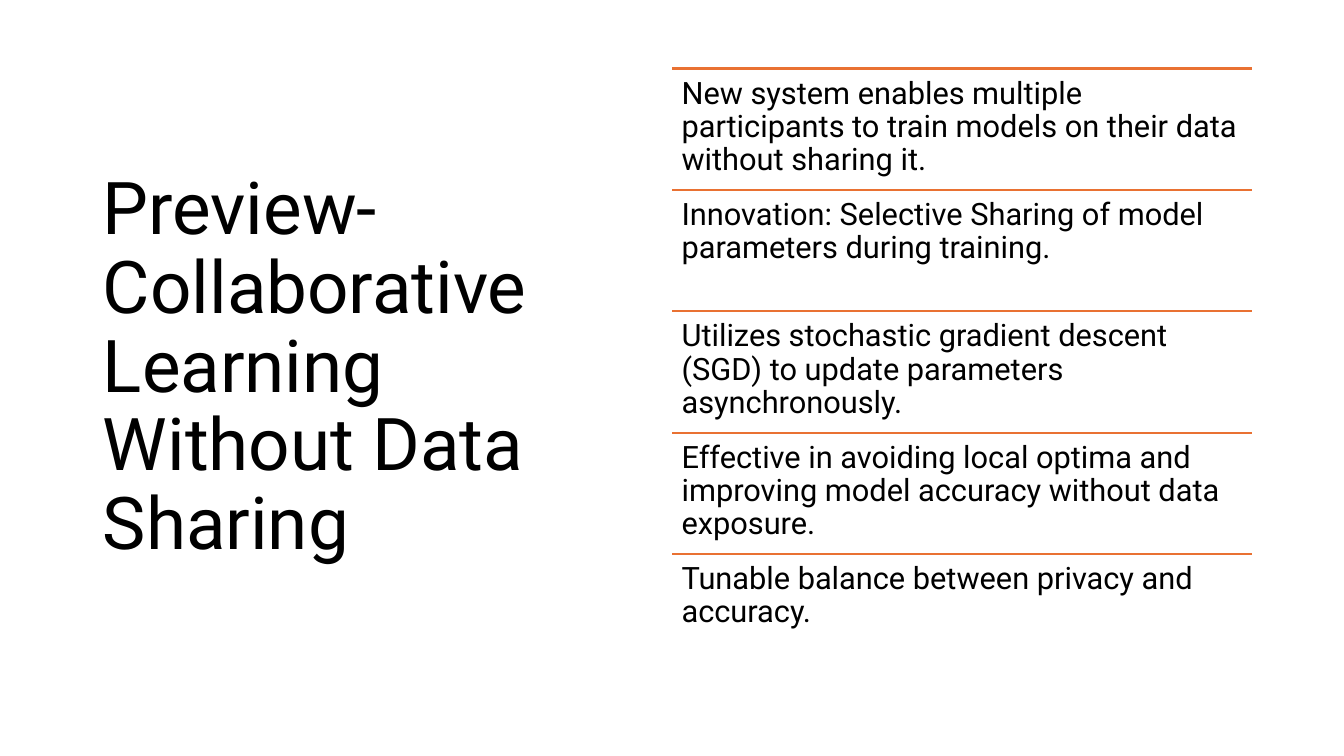
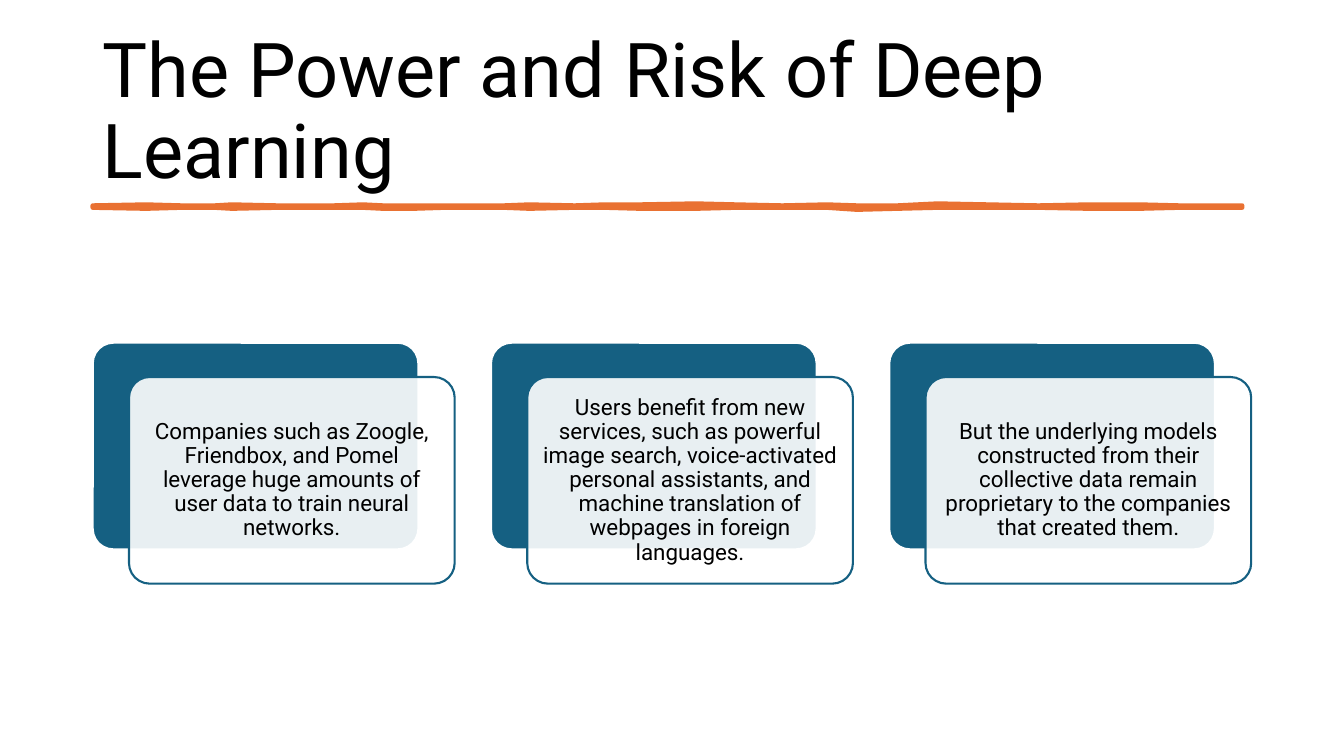
"""Build two slides on collaborative deep learning: a ruled list and three cards."""
from dataclasses import dataclass

from lxml import etree
from pptx import Presentation
from pptx.dml.color import RGBColor
from pptx.enum import shapes, text
from pptx.oxml import ns
from pptx.util import Inches, Pt


@dataclass(frozen=True)
class Theme:
    font: str = "Roboto"
    ink: RGBColor = RGBColor(0, 0, 0)
    paper: RGBColor = RGBColor(255, 255, 255)
    blue: RGBColor = RGBColor(0x15, 0x60, 0x82)
    orange: RGBColor = RGBColor(0xE9, 0x71, 0x32)
    list_size: float = 22
    card_size: float = 16
    rule: float = 1.5
    brush: float = 3.25
    lead: float = 0.9


T = Theme()

PREVIEW = {
    "title": "Preview- Collaborative Learning Without Data Sharing",
    "size": 52,
    "box": (0.92, 0.61, 5.32, 6.09),
    "items": [
        "New system enables multiple participants to train models on their data without sharing it.",
        "Innovation: Selective Sharing of model parameters during training.",
        "Utilizes stochastic gradient descent (SGD) to update parameters asynchronously.",
        "Effective in avoiding local optima and improving model accuracy without data exposure.",
        "Tunable balance between privacy and accuracy.",
    ],
}
RISK = {
    "title": "The Power and Risk of Deep Learning",
    "size": 54,
    "box": (0.92, 0.4, 11.5, 1.45),
    "items": [
        "Companies such as Zoogle, Friendbox, and Pomel leverage huge amounts of user data to train neural networks.",
        "Users benefit from new services, such as powerful image search, voice-activated personal assistants, "
        "and machine translation of webpages in foreign languages.",
        "But the underlying models constructed from their collective data remain proprietary to the companies "
        "that created them.",
    ],
}
STROKE = [
    (0.92, 2.04, 2.06), (1.45, 2.03, 2.07), (1.8, 2.04, 2.06), (2.13, 2.04, 2.06),
    (2.3, 2.03, 2.07), (2.75, 2.04, 2.06), (3.31, 2.04, 2.06), (3.6, 2.03, 2.06),
    (3.8, 2.04, 2.07), (4.1, 2.04, 2.07), (4.41, 2.04, 2.06), (5, 2.04, 2.06),
    (5.25, 2.03, 2.07), (5.7, 2.04, 2.06), (6, 2.03, 2.06), (6.35, 2.03, 2.07),
    (6.9, 2.02, 2.07), (7.3, 2.03, 2.06), (7.76, 2.04, 2.06), (8.2, 2.03, 2.06),
    (8.5, 2.04, 2.08), (8.9, 2.04, 2.07), (9.3, 2.02, 2.06), (9.8, 2.03, 2.06),
    (10.3, 2.04, 2.06), (10.8, 2.03, 2.07), (11.3, 2.03, 2.07), (11.7, 2.04, 2.06),
    (12.32, 2.04, 2.06),
]


def write(frame, words, size, pad=None, anchor=text.MSO_ANCHOR.MIDDLE, align=text.PP_ALIGN.LEFT):
    frame.text = words
    frame.word_wrap = True
    frame.auto_size = text.MSO_AUTO_SIZE.NONE
    frame.vertical_anchor = anchor
    if pad is not None:
        frame.margin_left = frame.margin_right = Inches(pad)
        frame.margin_top = frame.margin_bottom = Inches(pad)
    para = frame.paragraphs[0]
    para.alignment = align
    para.line_spacing = T.lead
    font = para.runs[0].font
    font.name, font.size, font.color.rgb = T.font, Pt(size), T.ink


def paint(shape, fill, edge, width):
    shape.shadow.inherit = False
    shape.fill.solid()
    shape.fill.fore_color.rgb = fill
    shape.line.color.rgb = edge
    shape.line.width = Pt(width)


def start(deck, page):
    slide = deck.slides.add_slide(deck.slide_layouts[5])
    title = slide.shapes.title
    title.left, title.top, title.width, title.height = map(Inches, page["box"])
    write(title.text_frame, page["title"], page["size"])
    return slide


def rows(slide, items, left=6.67, top=0.68, wide=5.75, full=6.02):
    step = full / len(items)
    for i, words in enumerate(items):
        y = top + i * step
        ends = map(Inches, (left, y, left + wide, y))
        rule = slide.shapes.add_connector(shapes.MSO_CONNECTOR.STRAIGHT, *ends)
        rule.line.color.rgb = T.orange
        rule.line.width = Pt(T.rule)
        etree.SubElement(rule._element.spPr, ns.qn("a:effectLst"))
        box = slide.shapes.add_textbox(*map(Inches, (left, y, wide, step)))
        write(box.text_frame, words, T.list_size, 0.09, text.MSO_ANCHOR.TOP)


def brush(slide):
    edge = [(x, top) for x, top, low in STROKE]
    edge += [(x, low) for x, top, low in reversed(STROKE)]
    first, *rest = [(Inches(x), Inches(y)) for x, y in edge]
    pen = slide.shapes.build_freeform(*first)
    pen.add_line_segments(rest, close=True)
    mark = pen.convert_to_shape()
    paint(mark, T.orange, T.orange, T.brush)
    etree.SubElement(mark.line._get_or_add_ln(), ns.qn("a:round"))


def panel(slide, x, y, fill, edge, wide=3.23, high=2.05):
    shape = slide.shapes.add_shape(
        shapes.MSO_SHAPE.ROUNDED_RECTANGLE, *map(Inches, (x, y, wide, high)))
    shape.adjustments[0] = 0.1
    paint(shape, fill, edge, T.rule)
    return shape


def cards(slide, items, left=0.92, top=3.4, step=3.95, dx=0.36, dy=0.34):
    for i, words in enumerate(items):
        x = left + i * step
        panel(slide, x, top, T.blue, T.paper)
        front = panel(slide, x + dx, top + dy, T.paper, T.blue)
        tint = front._element.spPr.find(ns.qn("a:solidFill"))[0]
        etree.SubElement(tint, ns.qn("a:alpha"), val="90000")
        write(front.text_frame, words, T.card_size, 0.07, align=text.PP_ALIGN.CENTER)


def main():
    deck = Presentation()
    deck.slide_width, deck.slide_height = Inches(13.33), Inches(7.5)
    rows(start(deck, PREVIEW), PREVIEW["items"])
    slide = start(deck, RISK)
    brush(slide)
    cards(slide, RISK["items"])
    deck.save("out.pptx")


if __name__ == "__main__":
    main()
